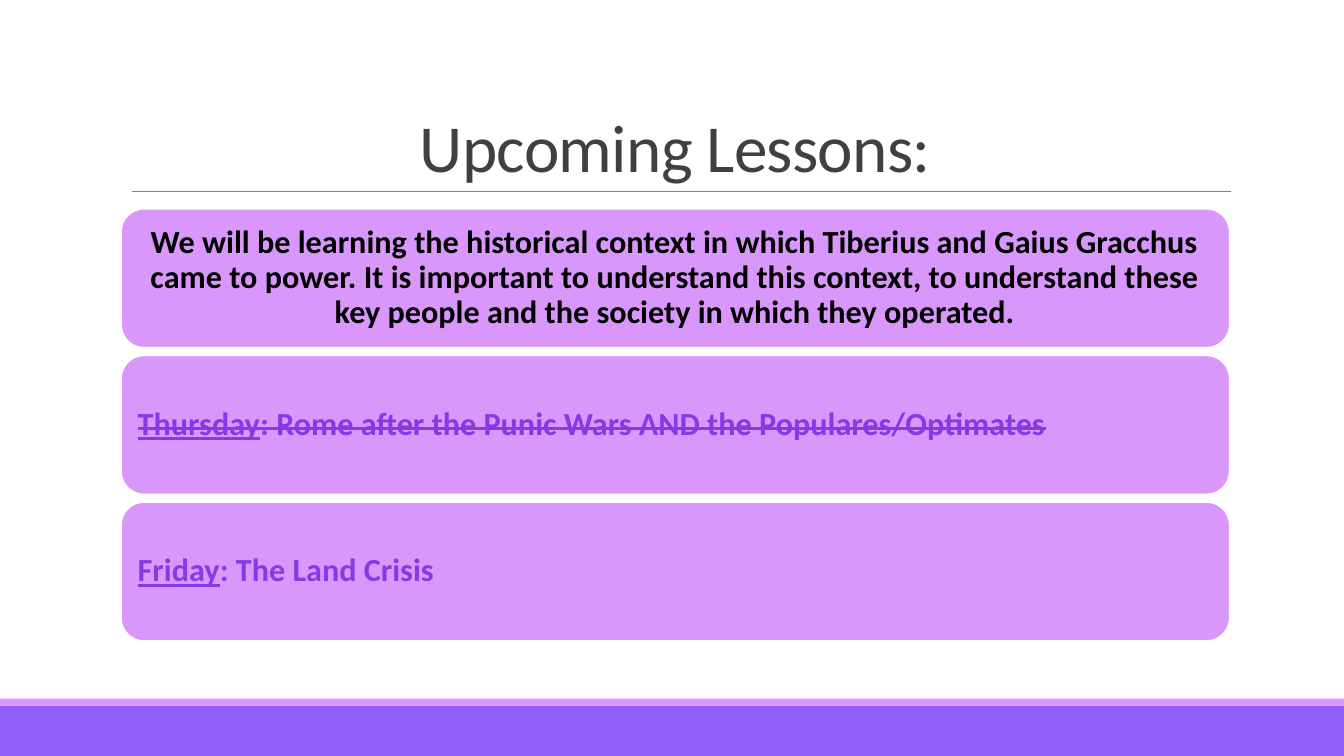
from lxml import etree
from pptx import Presentation
from pptx.dml.color import RGBColor
from pptx.enum.shapes import MSO_CONNECTOR, MSO_SHAPE
from pptx.enum.text import MSO_ANCHOR, PP_ALIGN
from pptx.oxml.ns import qn
from pptx.util import Inches, Pt

RECTANGLE, ROUNDED = MSO_SHAPE.RECTANGLE, MSO_SHAPE.ROUNDED_RECTANGLE
STRAIGHT = MSO_CONNECTOR.STRAIGHT
MIDDLE, BOTTOM = MSO_ANCHOR.MIDDLE, MSO_ANCHOR.BOTTOM
LEFT, CENTER = PP_ALIGN.LEFT, PP_ALIGN.CENTER
TITLE_ONLY = 5

COLORS = {
    "band": "925FFD",
    "card": "DA97FB",
    "edge": "FFFFFF",
    "rule": "808080",
    "title": "404040",
    "intro": "000000",
    "lesson": "8838E6",
}

# Percentages of the slide's width and height
CONTENT_LEFT, CONTENT_WIDTH = 9, 82.5
CARD_TOP, CARD_HEIGHT, CARD_PITCH = 27.6, 18.4, 19.4


class LessonSlide:
    """Style and current slide; lengths are percentages of its size."""

    font_name = "Calibri"
    title_size = Pt(48)
    card_size = Pt(23)

    def __init__(self, presentation):
        self.width = presentation.slide_width
        self.height = presentation.slide_height
        self.slide = presentation.slides.add_slide(
            presentation.slide_layouts[TITLE_ONLY])

    def color(self, name):
        return RGBColor.from_string(COLORS[name])

    def across(self, share):
        return round(self.width * share / 100)

    def down(self, share):
        return round(self.height * share / 100)

    def box(self, left, top, width, height):
        return (self.across(left), self.down(top),
                self.across(width), self.down(height))

    def style_run(self, run, size, color):
        run.font.name = self.font_name
        run.font.size = size
        run.font.color.rgb = self.color(color)

    def title(self, text, left, top, width, height):
        shape = self.slide.shapes.title
        shape.left, shape.top, shape.width, shape.height = self.box(
            left, top, width, height)
        frame = shape.text_frame
        frame.text = text
        frame.vertical_anchor = BOTTOM
        paragraph = frame.paragraphs[0]
        paragraph.alignment = CENTER
        paragraph.line_spacing = 0.85
        run = paragraph.runs[0]
        self.style_run(run, self.title_size, "title")
        run.font._element.set("spc", "-50")

    def rule(self, left, right, top):
        line = self.slide.shapes.add_connector(
            STRAIGHT, self.across(left), self.down(top),
            self.across(right), self.down(top))
        line.line.color.rgb = self.color("rule")
        line.line.width = Pt(0.5)
        etree.SubElement(line._element.spPr, qn("a:effectLst"))

    def block(self, kind, fill, left, top, width, height):
        shape = self.slide.shapes.add_shape(
            kind, *self.box(left, top, width, height))
        shape.shadow.inherit = False
        shape.fill.solid()
        shape.fill.fore_color.rgb = self.color(fill)
        shape.line.fill.background()
        return shape

    def card(self, row, text, color, day="", done=False):
        shape = self.block(ROUNDED, "card", CONTENT_LEFT,
                           CARD_TOP + row * CARD_PITCH,
                           CONTENT_WIDTH, CARD_HEIGHT)
        shape.line.color.rgb = self.color("edge")
        shape.line.width = Pt(1.25)
        frame = shape.text_frame
        frame.word_wrap = True
        frame.vertical_anchor = MIDDLE
        frame.margin_left = frame.margin_right = Inches(0.1)
        frame.margin_top = frame.margin_bottom = Inches(0.1)
        paragraph = frame.paragraphs[0]
        paragraph.alignment = LEFT if day else CENTER
        paragraph.line_spacing = 0.9
        for part in filter(None, (day, text)):
            run = paragraph.add_run()
            run.text = part
            self.style_run(run, self.card_size, color)
            run.font.bold = True
            run.font.underline = part == day
            if done:
                run.font._element.set("strike", "sngStrike")


def main():
    presentation = Presentation()
    presentation.slide_width = Inches(13.33)
    presentation.slide_height = Inches(7.5)
    lessons = LessonSlide(presentation)

    # Footer bands
    lessons.block(RECTANGLE, "band", 0, 93.33, 100, 6.67)
    lessons.block(RECTANGLE, "card", 0, 92.4, 100, 0.93)

    # Heading and its rule
    lessons.title("Upcoming Lessons:", CONTENT_LEFT, 4.1, CONTENT_WIDTH, 21.2)
    lessons.rule(9.83, 91.6, 25.3)

    # Introduction and lesson cards
    lessons.card(0, "We will be learning the historical context in which "
                 "Tiberius and Gaius Gracchus came to power. It is important "
                 "to understand this context, to understand these key people "
                 "and the society in which they operated.", "intro")
    lessons.card(1, ": Rome after the Punic Wars AND the Populares/Optimates",
                 "lesson", day="Thursday", done=True)
    lessons.card(2, ": The Land Crisis", "lesson", day="Friday")

    presentation.save("out.pptx")


if __name__ == "__main__":
    main()
